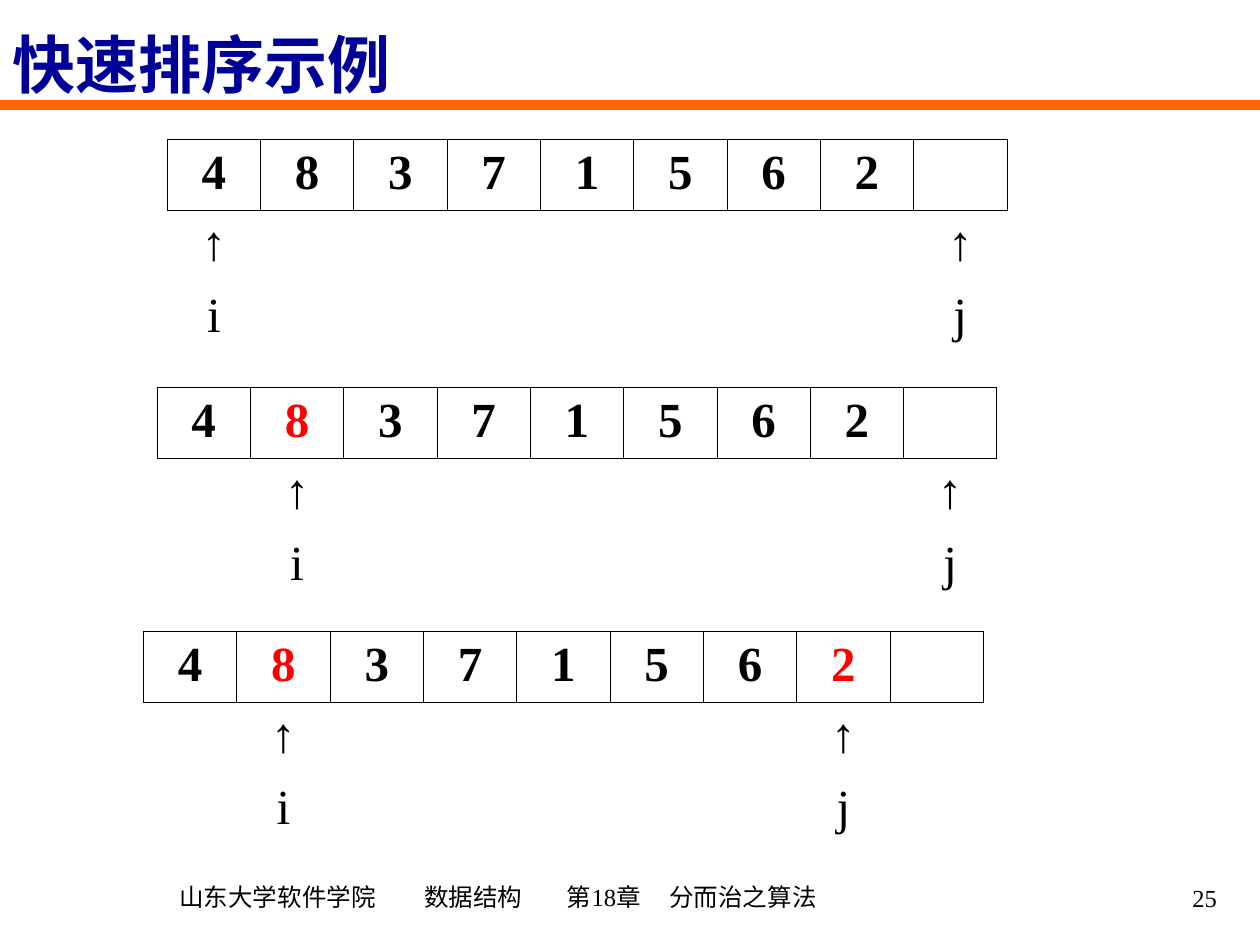
from dataclasses import dataclass
from typing import Any

from lxml import etree
from pptx import Presentation
from pptx.dml.color import RGBColor
from pptx.enum.shapes import MSO_CONNECTOR
from pptx.enum.text import MSO_ANCHOR, PP_ALIGN
from pptx.oxml.ns import qn
from pptx.util import Pt

STRAIGHT = MSO_CONNECTOR.STRAIGHT
MIDDLE = MSO_ANCHOR.MIDDLE
LEFT, CENTER, RIGHT = PP_ALIGN.LEFT, PP_ALIGN.CENTER, PP_ALIGN.RIGHT

COLORS = {"text": "000000", "title": "000099", "rule": "FF6600", "marked": "FF0000"}
SERIF, SANS, CHINESE = "Times New Roman", "Arial", "Noto Sans CJK SC"
VALUES = ["4", "8", "3", "7", "1", "5", "6", "2", ""]
COLUMN_WIDTH, ROW_HEIGHT = 53.34, 40.8
STEPS = [
    {"left": 95.5, "top": 79.5, "i": 0, "j": 8, "marked": []},
    {"left": 89.75, "top": 221.25, "i": 1, "j": 8, "marked": [1]},
    {"left": 82, "top": 360.75, "i": 1, "j": 7, "marked": [1, 7]},
]


@dataclass
class SlideBuilder:
    slide: Any
    border_width: float = 0.45
    cell_size: int = 28

    def color(self, name):
        return RGBColor.from_string(COLORS[name])

    def style(self, para, size, color="text", bold=False, align=LEFT, font=SERIF):
        para.alignment = align
        para.font.size = Pt(size)
        para.font.bold = bold
        para.font.color.rgb = self.color(color)
        para.font.name = font
        defaults = para._p.get_or_add_pPr().find(qn("a:defRPr"))
        etree.SubElement(defaults, qn("a:ea"), typeface=CHINESE)

    def rule(self, top, width, weight):
        line = self.slide.shapes.add_connector(STRAIGHT, 0, Pt(top), Pt(width), Pt(top))
        line.line.color.rgb = self.color("rule")
        line.line.width = Pt(weight)
        etree.SubElement(line._element.spPr, qn("a:effectLst"))

    def text(self, place, spans, size, inset=7.2, tabs=(), **look):
        box = self.slide.shapes.add_textbox(*map(Pt, place))
        frame = box.text_frame
        frame.word_wrap = True
        frame.vertical_anchor = MIDDLE
        frame.margin_left = Pt(inset)
        para = frame.paragraphs[0]
        if tabs:
            stops = etree.SubElement(para._p.get_or_add_pPr(), qn("a:tabLst"))
            for stop in tabs:
                etree.SubElement(stops, qn("a:tab"), pos=str(Pt(stop)), algn="l")
        for words, font in spans:
            span = para.add_run()
            span.text = words
            span.font.name = font
        self.style(para, size, **look)

    def borders(self, cell, visible_sides):
        properties = cell._tc.get_or_add_tcPr()
        for side in "LRTB":
            edge = etree.SubElement(
                properties, qn(f"a:ln{side}"), w=str(Pt(self.border_width))
            )
            if side in visible_sides:
                fill = etree.SubElement(edge, qn("a:solidFill"))
                etree.SubElement(fill, qn("a:srgbClr"), val=COLORS["text"])
            else:
                etree.SubElement(edge, qn("a:noFill"))

    def array(self, left, top, i, j, marked):
        columns = len(VALUES)
        pointers = {i: "i", j: "j"}
        rows = [
            VALUES,
            ["↑" if column in pointers else "" for column in range(columns)],
            [pointers.get(column, "") for column in range(columns)],
        ]
        table = self.slide.shapes.add_table(
            len(rows), columns, Pt(left), Pt(top),
            Pt(COLUMN_WIDTH * columns), Pt(ROW_HEIGHT * len(rows)),
        ).table
        table.first_row = False
        table.horz_banding = False
        for column in table.columns:
            column.width = Pt(COLUMN_WIDTH)
        for row_index, (row, words) in enumerate(zip(table.rows, rows)):
            row.height = Pt(ROW_HEIGHT)
            for column_index, (cell, word) in enumerate(zip(row.cells, words)):
                self.borders(cell, ("LRTB", "T", "")[row_index])
                cell.fill.background()
                cell.text = word
                is_value = row_index == 0
                is_marked = is_value and column_index in marked
                self.style(
                    cell.text_frame.paragraphs[0], self.cell_size,
                    color="marked" if is_marked else "text",
                    bold=is_value, align=CENTER,
                )


def main():
    deck = Presentation()
    deck.slide_width, deck.slide_height = Pt(720), Pt(540)
    page = SlideBuilder(deck.slides.add_slide(deck.slide_layouts[6]))
    page.rule(60, 720, 6)
    page.text(
        (54, 494, 465, 36.5),
        [("山东大学软件学院\t数据结构\t第18章\t分而治之算法", SERIF)],
        14, inset=48.5, tabs=(140, 221.5, 280),
    )
    page.text((553, 495, 149.5, 36), [("25", SERIF)], 14, align=RIGHT)
    page.text(
        (0, 0, 612, 72), [("快速排序", SANS), ("示例", CHINESE)],
        36, color="title", bold=True, font=SANS,
    )
    for step in STEPS:
        page.array(**step)
    deck.save("out.pptx")


if __name__ == "__main__":
    main()
